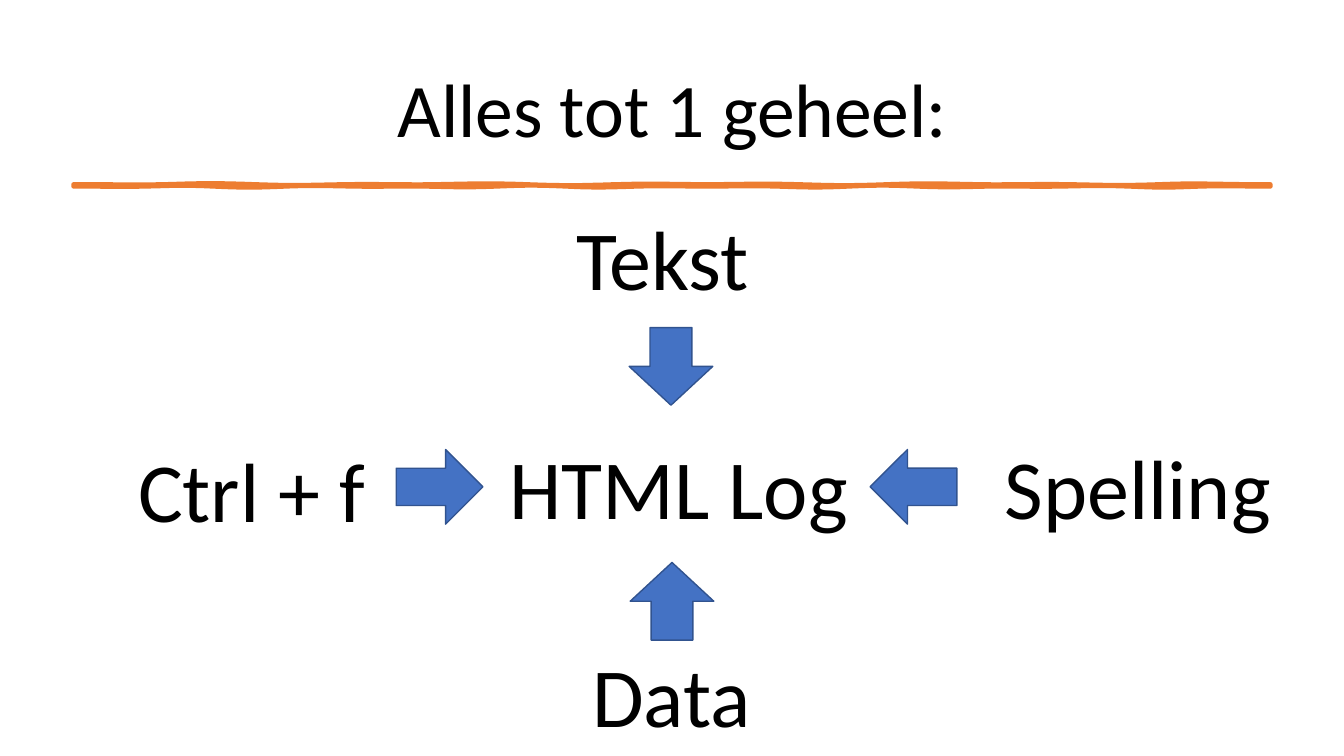
"""Build a slide on which four parts point to one HTML log."""
from math import sin
from typing import NamedTuple

from pptx import Presentation
from pptx.dml.color import RGBColor
from pptx.enum.shapes import MSO_SHAPE
from pptx.enum.text import MSO_ANCHOR, MSO_AUTO_SIZE, PP_ALIGN
from pptx.util import Inches, Pt

BLACK = RGBColor(0x00, 0x00, 0x00)
ORANGE = RGBColor(0xED, 0x7D, 0x31)
BLUE = RGBColor(0x44, 0x72, 0xC4)
DARK_BLUE = RGBColor(0x31, 0x53, 0x8F)
DOWN_ARROW = MSO_SHAPE.DOWN_ARROW
CENTER = PP_ALIGN.CENTER
MIDDLE, TOP = MSO_ANCHOR.MIDDLE, MSO_ANCHOR.TOP
FIXED, GROW = MSO_AUTO_SIZE.NONE, MSO_AUTO_SIZE.SHAPE_TO_FIT_TEXT

TITLE_STYLE = {
    "frame": {"word_wrap": True, "auto_size": FIXED, "vertical_anchor": MIDDLE},
    "paragraph": {"alignment": CENTER, "line_spacing": 0.9},
    "font": {"name": "Calibri", "size": Pt(54)},
}
LABEL_STYLE = {
    "frame": {"word_wrap": True, "auto_size": GROW, "vertical_anchor": TOP},
    "paragraph": {"alignment": CENTER},
    "font": {"name": "Calibri", "size": Pt(60)},
}
LABEL_HEIGHT = 1.11

RULE_LEFT, RULE_WIDTH = 0.73, 11.87
RULE_TOP, RULE_BOTTOM = 1.83, 1.85
RULE_STEPS = 120
WAVE_HEIGHT = 0.01


class Part(NamedTuple):
    """A label at left, top and width, with its arrow's box and turn."""
    label: str
    label_box: tuple
    arrow_box: tuple
    arrow_turn: int


HUB_LABEL, HUB_BOX = "HTML Log", (0.76, 4.27, 11.94)
PARTS = [
    Part("Tekst", (4.17, 2, 4.8), (6.24, 3.25, 0.83, 0.77), 0),
    Part("Spelling", (8.79, 4.27, 4.99), (8.69, 4.4, 0.74, 0.86), 90),
    Part("Data", (4.26, 6.33, 4.8), (6.25, 5.58, 0.83, 0.77), 180),
    Part("Ctrl + f", (0, 4.3, 4.99), (3.99, 4.4, 0.74, 0.86), 270),
]


def apply(target, values):
    """Set each named value on the target."""
    for name, value in values.items():
        setattr(target, name, value)


def paint(shape, fill, line, width):
    """Give a shape a flat fill and outline."""
    shape.shadow.inherit = False
    shape.fill.solid()
    shape.fill.fore_color.rgb = fill
    shape.line.color.rgb = line
    shape.line.width = Pt(width)


def add_text(slide, text, box, style):
    """Add one line of text in the given style."""
    frame = slide.shapes.add_textbox(*map(Inches, box)).text_frame
    paragraph = frame.paragraphs[0]
    run = paragraph.add_run()
    run.text = text
    run.font.color.rgb = BLACK
    for name, target in (("frame", frame), ("paragraph", paragraph), ("font", run.font)):
        apply(target, style[name])


def add_label(slide, text, left, top, width):
    """Add a large label of the shared height."""
    add_text(slide, text, (left, top, width, LABEL_HEIGHT), LABEL_STYLE)


def add_arrow(slide, box, turn):
    """Add a block arrow turned towards the hub."""
    arrow = slide.shapes.add_shape(DOWN_ARROW, *map(Inches, box))
    arrow.rotation = turn
    paint(arrow, BLUE, DARK_BLUE, 1)


def wavy_edge(base, frequency):
    """Return points from left to right along an edge that fades flat at its ends."""
    points = []
    for step in range(RULE_STEPS + 1):
        along = RULE_WIDTH * step / RULE_STEPS
        fade = min(1, along, RULE_WIDTH - along)
        wave = sin(frequency * along) * sin(along)
        points.append((Inches(RULE_LEFT + along), Inches(base + WAVE_HEIGHT * fade * wave)))
    return points


def add_rule(slide):
    """Add the hand-drawn rule under the title."""
    top_edge = wavy_edge(RULE_TOP, 3.5)
    bottom_edge = wavy_edge(RULE_BOTTOM, 4.5)
    start, *outline = top_edge + bottom_edge[::-1]
    builder = slide.shapes.build_freeform(*start)
    builder.add_line_segments(outline, close=True)
    paint(builder.convert_to_shape(), ORANGE, ORANGE, 3.25)


def main():
    """Build and save the slide."""
    deck = Presentation()
    apply(deck, {"slide_width": Inches(13.33), "slide_height": Inches(7.5)})
    slide = deck.slides.add_slide(deck.slide_layouts[6])
    add_text(slide, "Alles tot 1 geheel:", (0.92, 0.4, 11.5, 1.45), TITLE_STYLE)
    add_rule(slide)
    add_label(slide, HUB_LABEL, *HUB_BOX)
    for part in PARTS:
        add_label(slide, part.label, *part.label_box)
        add_arrow(slide, part.arrow_box, part.arrow_turn)
    deck.save("out.pptx")


if __name__ == "__main__":
    main()
